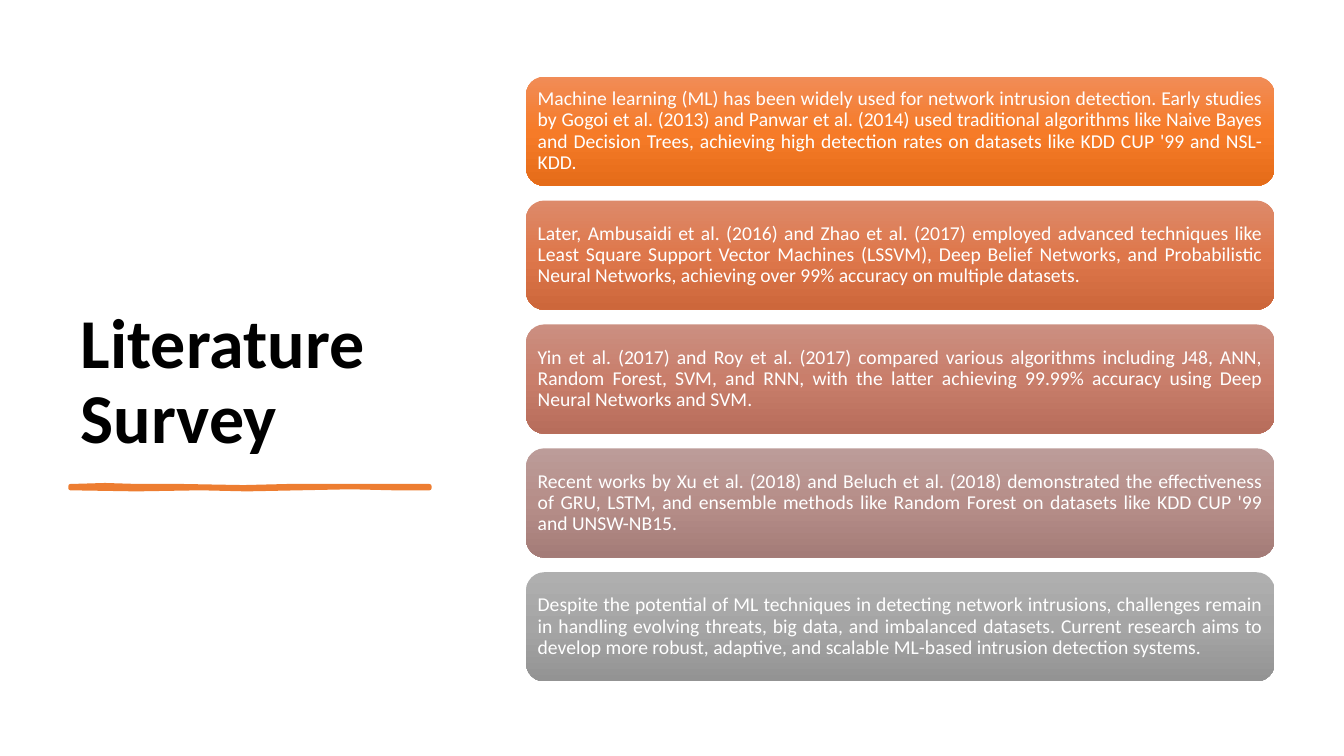
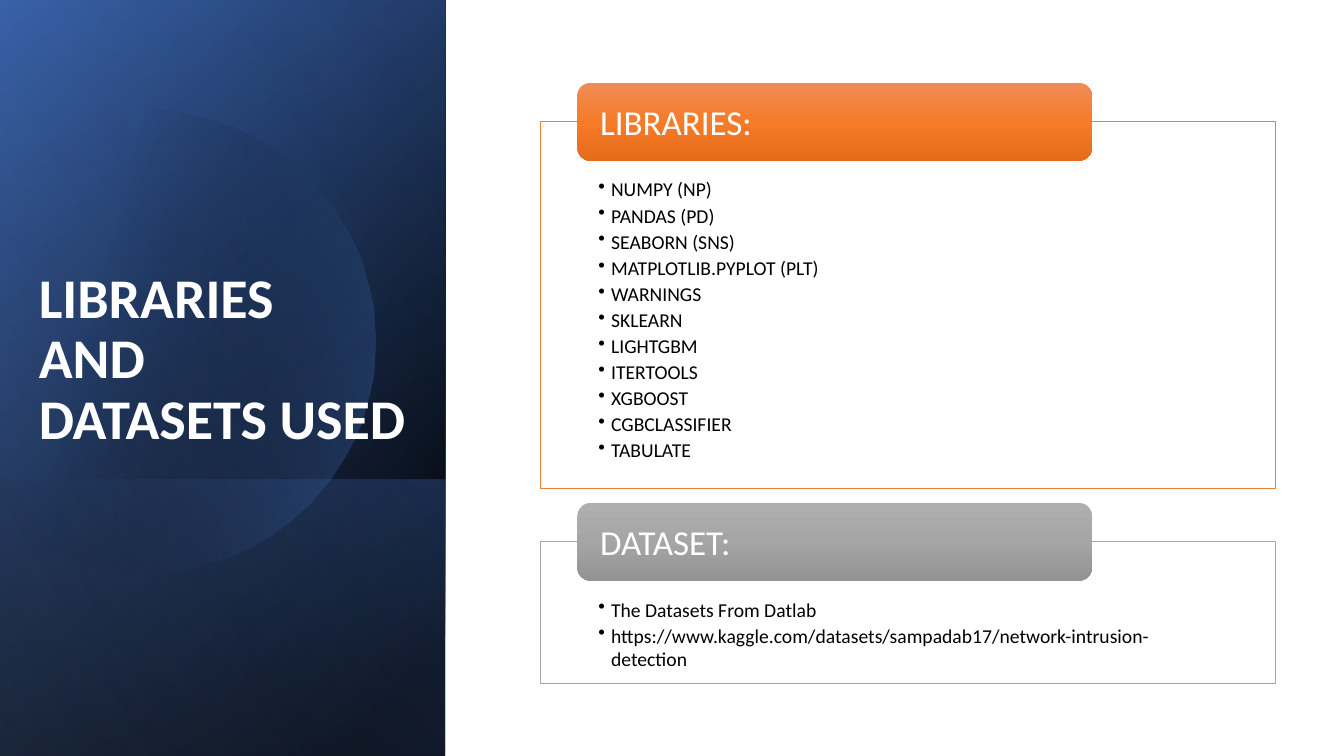
from dataclasses import dataclass
from math import cos, radians, sin

from lxml.etree import SubElement
from pptx import Presentation
from pptx.dml.color import RGBColor
from pptx.enum.shapes import MSO_SHAPE as Preset
from pptx.enum.text import MSO_ANCHOR as Anchor, PP_ALIGN as Align
from pptx.oxml.ns import qn
from pptx.util import Pt

PX = 9525


@dataclass(frozen=True)
class Theme:
    font: str = "Calibri"
    white: str = "FFFFFF"
    black: str = "000000"
    orange: str = "ED7D31"
    gray: str = "A5A5A5"
    blue: str = "4472C4"
    deep_blue: str = "2F5597"
    pale_blue: str = "8FAADC"
    card_shades: tuple = (
        ("F18C57", "F67B28", "E56C19"),
        ("DD8A6A", "DE774B", "CD673B"),
        ("CB8F81", "C97E6B", "B76D5B"),
        ("BC9C99", "B68E89", "A47C78"),
        ("AFAFAF", "A5A5A5", "939393"),
    )
    survey_title: int = 50
    panel_title: int = 40
    heading: int = 25
    body: int = 14


theme = Theme()


def paint(shape, stops, angle=90, line=None, weight=1):
    shape.shadow.inherit = False
    if isinstance(stops, str):
        shape.fill.solid()
        shape.fill.fore_color.rgb = RGBColor.from_string(stops)
    else:
        shape.fill.gradient()
        shape.fill.gradient_angle = (360 - angle) % 360
        stop_list = shape._element.spPr.find(qn("a:gradFill")).find(qn("a:gsLst"))
        for stop in list(stop_list):
            stop_list.remove(stop)
        for position, color, opacity in stops:
            stop = SubElement(stop_list, qn("a:gs"), pos=str(position * 1000))
            tint = SubElement(stop, qn("a:srgbClr"), val=color)
            if opacity < 100:
                SubElement(tint, qn("a:alpha"), val=str(opacity * 1000))
    if line:
        shape.line.color.rgb = RGBColor.from_string(line)
        shape.line.width = Pt(weight)
    else:
        shape.line.fill.background()


def write(shape, text, size=theme.body, color=theme.black, bold=False, align=Align.LEFT,
          anchor=Anchor.MIDDLE, insets=(10, 5, 10, 5), spacing=1.0, after=0, bullet=None):
    frame = shape.text_frame
    frame.word_wrap = True
    frame.vertical_anchor = anchor
    frame.margin_left, frame.margin_top, frame.margin_right, frame.margin_bottom = (
        inset * PX for inset in insets)
    for index, entry in enumerate([text] if isinstance(text, str) else text):
        paragraph = frame.add_paragraph() if index else frame.paragraphs[0]
        paragraph.text = entry
        paragraph.alignment = align
        paragraph.line_spacing = spacing
        paragraph.space_after = Pt(after)
        if bullet:
            properties = paragraph._p.get_or_add_pPr()
            properties.set("marL", str(12 * PX))
            properties.set("indent", str(-12 * PX))
            SubElement(properties, qn("a:buChar"), char=bullet)
        paragraph.font.name = theme.font
        paragraph.font.size = Pt(size)
        paragraph.font.bold = bold
        paragraph.font.color.rgb = RGBColor.from_string(color)


deck = Presentation()
deck.slide_width = 1280 * PX
deck.slide_height = 720 * PX
blank = deck.slide_layouts[6]

survey = deck.slides.add_slide(blank).shapes
survey_title = survey.add_textbox(67 * PX, 67 * PX, 375 * PX, 375 * PX)
write(survey_title, "Literature Survey", size=theme.survey_title, bold=True,
      anchor=Anchor.BOTTOM, spacing=0.9)

stroke_edge = [
    (67, 463), (100, 462), (132, 463), (175, 463), (232, 464), (273, 463), (345, 463),
    (409, 463), (409, 465), (375, 465), (334, 464), (235, 466), (191, 465), (130, 466),
    (67, 465),
]
outline = survey.build_freeform(*stroke_edge[0], scale=PX)
outline.add_line_segments(stroke_edge[1:], close=True)
paint(outline.convert_to_shape(), theme.orange, line=theme.orange, weight=3)

findings = [
    "Machine learning (ML) has been widely used for network intrusion detection. Early studies "
    "by Gogoi et al. (2013) and Panwar et al. (2014) used traditional algorithms like Naive Bayes "
    "and Decision Trees, achieving high detection rates on datasets like KDD CUP '99 and NSL-KDD.",
    "Later, Ambusaidi et al. (2016) and Zhao et al. (2017) employed advanced techniques like "
    "Least Square Support Vector Machines (LSSVM), Deep Belief Networks, and Probabilistic "
    "Neural Networks, achieving over 99% accuracy on multiple datasets.",
    "Yin et al. (2017) and Roy et al. (2017) compared various algorithms including J48, ANN, "
    "Random Forest, SVM, and RNN, with the latter achieving 99.99% accuracy using Deep "
    "Neural Networks and SVM.",
    "Recent works by Xu et al. (2018) and Beluch et al. (2018) demonstrated the effectiveness of "
    "GRU, LSTM, and ensemble methods like Random Forest on datasets like KDD CUP '99 and "
    "UNSW-NB15.",
    "Despite the potential of ML techniques in detecting network intrusions, challenges remain "
    "in handling evolving threats, big data, and imbalanced datasets. Current research aims to "
    "develop more robust, adaptive, and scalable ML-based intrusion detection systems.",
]
for row, (finding, shades) in enumerate(zip(findings, theme.card_shades)):
    card = survey.add_shape(Preset.ROUNDED_RECTANGLE, 501 * PX, (73 + 118 * row) * PX,
                            713 * PX, 104 * PX)
    paint(card, [(50 * step, shade, 100) for step, shade in enumerate(shades)])
    write(card, finding, color=theme.white, align=Align.JUSTIFY, insets=(6, 6, 6, 6), spacing=0.9)

resources = deck.slides.add_slide(blank).shapes
panel_width, panel_height, band_top = 424, 720, 457
base_layers = [
    (0, [(8, theme.black, 100), (100, theme.deep_blue, 100)], 220),
    (0, [(0, theme.black, 0), (99, theme.blue, 46)], 240),
    (band_top, [(2, theme.blue, 29), (100, theme.black, 30)], 140),
]
sheen_layer = (0, [(0, theme.black, 0), (99, theme.pale_blue, 11)], 150)
for top, stops, angle in base_layers + [sheen_layer]:
    if top == 0 and angle == sheen_layer[2]:
        arc = [(round(137 + 221 * cos(radians(turn))), round(325 + 221 * sin(radians(turn))))
               for turn in range(-128, 129, 4)]
        outline = resources.build_freeform(*arc[0], scale=PX)
        outline.add_line_segments(arc[1:], close=True)
        paint(outline.convert_to_shape(), [(29, theme.black, 0), (100, theme.blue, 43)], angle=14)
    layer = resources.add_shape(Preset.RECTANGLE, 0, top * PX, panel_width * PX,
                                (panel_height - top) * PX)
    paint(layer, stops, angle=angle)

panel_title = resources.add_textbox(27 * PX, 207 * PX, 380 * PX, 228 * PX)
write(panel_title, "LIBRARIES\nAND\nDATASETS USED", size=theme.panel_title, color=theme.white,
      bold=True, anchor=Anchor.BOTTOM, spacing=0.9)

sections = [
    ("LIBRARIES:", 116, 349, theme.orange, theme.card_shades[0],
     ["NUMPY (NP)", "PANDAS (PD)", "SEABORN (SNS)", "MATPLOTLIB.PYPLOT (PLT)", "WARNINGS",
      "SKLEARN", "LIGHTGBM", "ITERTOOLS", "XGBOOST", "CGBCLASSIFIER", "TABULATE"]),
    ("DATASET:", 516, 135, theme.gray, theme.card_shades[-1],
     ["The Datasets From Datlab",
      "https://www.kaggle.com/datasets/sampadab17/network-intrusion-detection"]),
]
for heading, top, height, border, shades, items in sections:
    listing = resources.add_shape(Preset.RECTANGLE, 515 * PX, top * PX, 700 * PX, height * PX)
    paint(listing, theme.white, line=border, weight=0.5)
    write(listing, items, anchor=Anchor.TOP, insets=(55, 53, 55, 11), after=1.8, bullet="•")
    tab = resources.add_shape(Preset.ROUNDED_RECTANGLE, 550 * PX, (top - 37) * PX,
                              490 * PX, 74 * PX)
    paint(tab, [(50 * step, shade, 100) for step, shade in enumerate(shades)])
    write(tab, heading, size=theme.heading, color=theme.white, insets=(18, 0, 18, 0))

deck.save("out.pptx")
